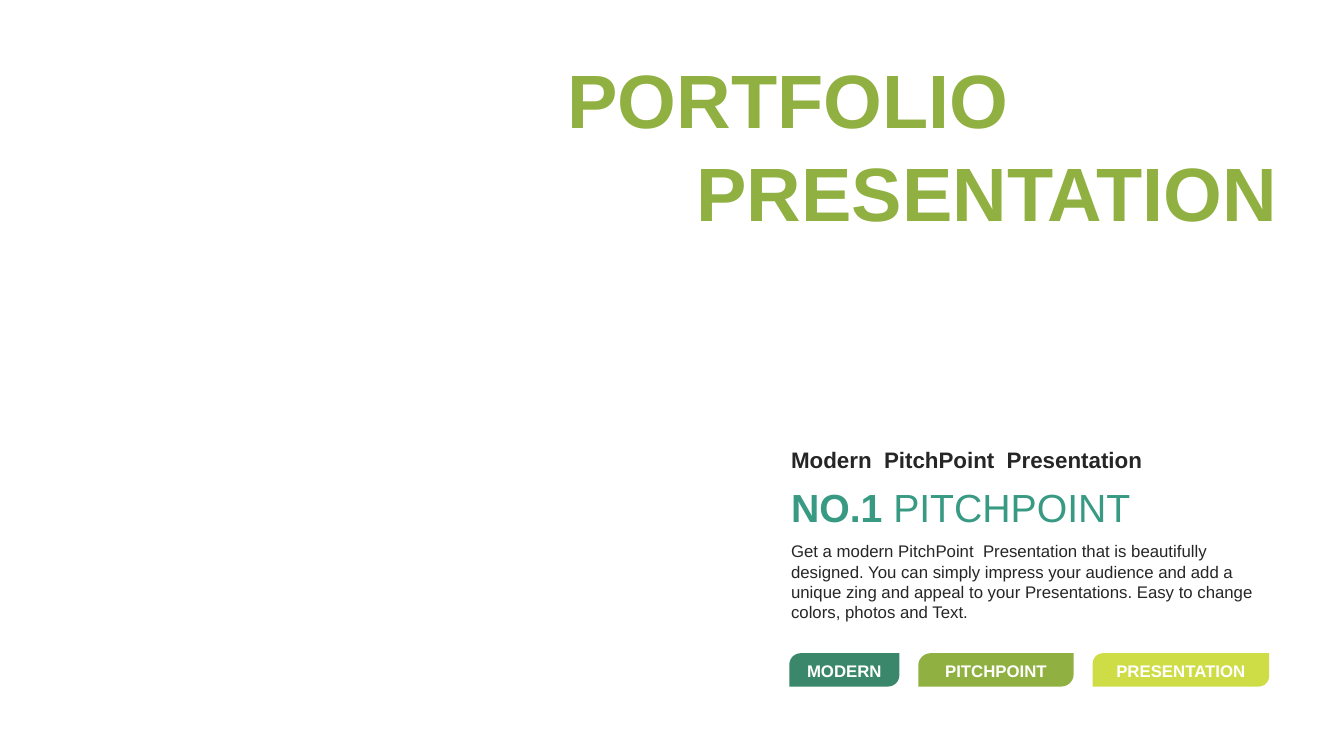
from pptx import Presentation
from pptx.dml.color import RGBColor
from pptx.enum.shapes import MSO_SHAPE
from pptx.enum.text import MSO_ANCHOR, PP_ALIGN
from pptx.util import Pt

TAG_SHAPE = MSO_SHAPE.ROUND_2_DIAG_RECTANGLE
TOP, MIDDLE = MSO_ANCHOR.TOP, MSO_ANCHOR.MIDDLE
LEFT, CENTER = PP_ALIGN.LEFT, PP_ALIGN.CENTER

FONT = "Arial"
GREEN, TEAL, FOREST, LIME = "90B141", "399A84", "3A876B", "CEDD46"
INK, WHITE = "262626", "FFFFFF"


def color(value):
    return RGBColor.from_string(value)


def write(shape, *spans, size, fill, anchor=TOP, align=LEFT,
          insets=(7.2, 3.6, 7.2, 3.6), spacing=None):
    """Fill a shape with one paragraph of (text, bold) spans."""
    frame = shape.text_frame
    frame.word_wrap = True
    frame.vertical_anchor = anchor
    (frame.margin_left, frame.margin_top,
     frame.margin_right, frame.margin_bottom) = map(Pt, insets)
    para = frame.paragraphs[0]
    para.alignment = align
    para.line_spacing = spacing
    for text, bold in spans:
        span = para.add_run()
        span.text = text
        span.font.name = FONT
        span.font.size = Pt(size)
        span.font.bold = bold
        span.font.color.rgb = color(fill)


def add_text(page, box, *spans, **style):
    write(page.shapes.add_textbox(*map(Pt, box)), *spans, **style)


def add_title(page, box):
    """Two title lines, the second stepped to the right."""
    left, top, width, height = box
    line_height = 56.9
    lines = [("PORTFOLIO", 0, 346.3), ("PRESENTATION", 92.1, width - 92.1)]
    pitch = height - line_height
    for row, (text, indent, line_width) in enumerate(lines):
        add_text(page, (left + indent, top + row * pitch, line_width, line_height),
                 (text, True), size=54, fill=GREEN, anchor=MIDDLE,
                 insets=(0, 3.6, 7.2, 3.6))


def add_summary(page, box):
    """Heading, headline and body text stacked without gaps."""
    left, top, width, height = box
    heading, headline = 26.6, 41
    add_text(page, (left, top, width, heading),
             ("Modern  PitchPoint  Presentation", True), size=16, fill=INK)
    add_text(page, (left, top + heading, width, headline),
             ("NO.1 ", True), ("PITCHPOINT", False), size=28, fill=TEAL)
    used = heading + headline
    add_text(page, (left, top + used, width, height - used),
             ("Get a modern PitchPoint  Presentation that is beautifully designed. "
              "You can simply impress your audience and add a unique zing and appeal "
              "to your Presentations. Easy to change colors, photos and Text.", False),
             size=12, fill=INK)


def add_tags(page, box):
    """A row of coloured tags with equal gaps."""
    left, top, width, height = box
    tags = [("MODERN", 78.6, FOREST, 0.34),
            ("PITCHPOINT", 111, GREEN, 0.37),
            ("PRESENTATION", 126, LIME, 0.31)]
    gap = (width - sum(tag[1] for tag in tags)) / (len(tags) - 1)
    for text, tag_width, fill, rounding in tags:
        tag = page.shapes.add_shape(
            TAG_SHAPE, *map(Pt, (left, top, tag_width, height)))
        tag.shadow.inherit = False
        tag.adjustments[0] = rounding
        tag.adjustments[1] = 0
        tag.fill.solid()
        tag.fill.fore_color.rgb = color(fill)
        tag.line.fill.background()
        write(tag, (text, True), size=12, fill=WHITE, anchor=MIDDLE,
              align=CENTER, insets=(7.2, 7.2, 7.2, 3.6), spacing=0.9)
        left += tag_width + gap


def main():
    deck = Presentation()
    deck.slide_width, deck.slide_height = Pt(960), Pt(540)
    page = deck.slides.add_slide(deck.slide_layouts[6])
    add_summary(page, (558, 315.4, 348.5, 133.1))
    add_tags(page, (563.8, 466.6, 342.7, 23.8))
    add_title(page, (405.4, 41.8, 532.7, 123.1))
    deck.save("out.pptx")


if __name__ == "__main__":
    main()
